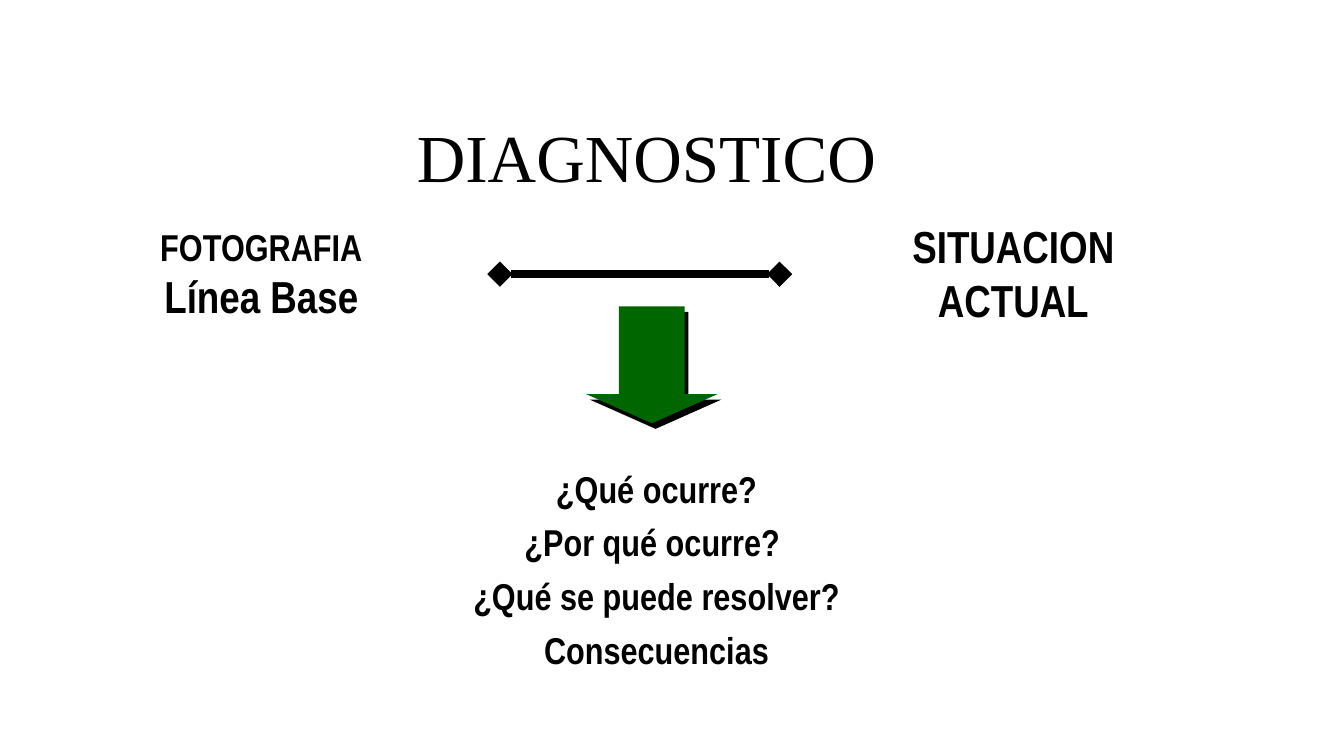
from lxml import etree
from pptx import Presentation
from pptx.dml.color import RGBColor
from pptx.enum.shapes import MSO_CONNECTOR, MSO_SHAPE
from pptx.enum.text import MSO_ANCHOR, MSO_AUTO_SIZE, PP_ALIGN
from pptx.oxml import parse_xml
from pptx.oxml.ns import nsdecls, qn
from pptx.util import Inches, Pt

BLACK = RGBColor(0x00, 0x00, 0x00)
GREEN = RGBColor(0x00, 0x66, 0x00)
CENTER, TOP, NO_FIT = PP_ALIGN.CENTER, MSO_ANCHOR.TOP, MSO_AUTO_SIZE.NONE
STRAIGHT, DOWN_ARROW = MSO_CONNECTOR.STRAIGHT, MSO_SHAPE.DOWN_ARROW

# Widescreen slide, 16:9
prs = Presentation()
prs.slide_width = Inches(10)
prs.slide_height = Inches(10 * 9 / 16)
s = prs.slides.add_slide(prs.slide_layouts[1])


def box(left, top, width, height):
    return [Inches(v) for v in (left, top, width, height)]


def write(sp, lines, font="Arial Narrow", bold=True, spacing=1.0, wrap=True):
    """Fill a shape with centred paragraphs given as (text, size)."""
    tf = sp.text_frame
    tf.word_wrap, tf.auto_size, tf.vertical_anchor = wrap, NO_FIT, TOP
    for i, (text, size) in enumerate(lines):
        p = tf.paragraphs[0] if i == 0 else tf.add_paragraph()
        p.alignment, p.line_spacing = CENTER, spacing
        p.space_before = p.space_after = Pt(0)
        r = p.add_run()
        r.text = text
        r.font.name, r.font.size, r.font.bold = font, Pt(size), bold
        r.font.color.rgb = BLACK


# Title
title = s.shapes.title
title.left, title.top, title.width, title.height = box(2.7, 0.81, 4.22, 0.33)
write(title, [("DIAGNOSTICO", 36)], font="Times New Roman", bold=False, wrap=False)

# The two states being compared
baseline = s.shapes.add_textbox(*box(0.73, 1.62, 2.43, 0.84))
write(baseline, [("FOTOGRAFIA", 20), ("Línea Base", 24)])
current = s.shapes.add_textbox(*box(6.12, 1.58, 2.84, 0.91))
write(current, [("SITUACION ACTUAL", 24)])

# Line between them, with diamond ends
link = s.shapes.add_connector(STRAIGHT, *box(3.72, 2.04, 5.8, 2.04))
link.line.color.rgb, link.line.width = BLACK, Pt(4.5)
ln = link.line._get_or_add_ln()
for end in ("a:headEnd", "a:tailEnd"):
    etree.SubElement(ln, qn(end), type="diamond")
etree.SubElement(link._element.spPr, qn("a:effectLst"))

# Down arrow with a hard shadow
arrow = s.shapes.add_shape(DOWN_ARROW, *box(4.36, 2.28, 0.98, 0.87))
arrow.adjustments[0], arrow.adjustments[1] = 0.5, 0.25
arrow.fill.solid()
arrow.fill.fore_color.rgb = GREEN
arrow.line.fill.background()
arrow._element.spPr.append(parse_xml(
    f'<a:effectLst {nsdecls("a")}><a:outerShdw dist="{Pt(3.6)}" dir="{56 * 60000}" '
    f'algn="ctr" rotWithShape="0"><a:srgbClr val="{BLACK}"/></a:outerShdw></a:effectLst>'))

# Questions
body = s.placeholders[1]
body.left, body.top, body.width, body.height = box(2.85, 3.35, 4.07, 1.68)
questions = ["¿Qué ocurre?", "¿Por qué ocurre? ", "¿Qué se puede resolver?", "Consecuencias"]
write(body, [(q, 20) for q in questions], spacing=1.2)
for p in body.text_frame.paragraphs:
    pPr = p._p.get_or_add_pPr()
    pPr.set("marL", "0")
    pPr.set("indent", "0")
    etree.SubElement(pPr, qn("a:buNone"))

prs.save("out.pptx")
